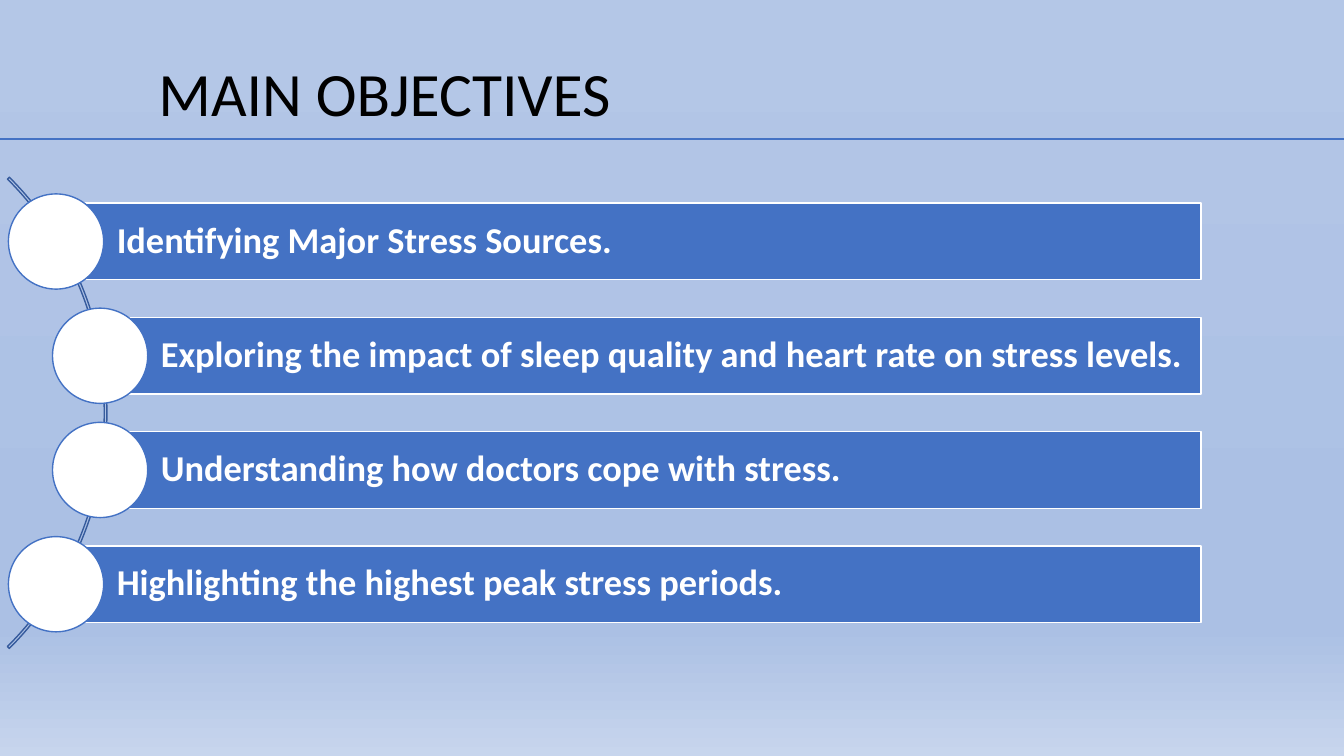
"""Build the main objectives slide."""
from dataclasses import dataclass

from lxml.etree import SubElement
from pptx import Presentation
from pptx.dml.color import RGBColor
from pptx.enum.shapes import MSO_CONNECTOR, MSO_SHAPE
from pptx.enum.text import MSO_ANCHOR, MSO_AUTO_SIZE, PP_ALIGN
from pptx.oxml.ns import qn
from pptx.util import Pt

SLIDE_WIDTH, SLIDE_HEIGHT = 960, 540
BAR_RIGHT, BAR_HEIGHT = 858, 54.7
CIRCLE_SIZE = 68
FIRST_CENTER, ROW_PITCH = 172.5, 81.6
ARC_SIZE, ARC_RIGHT = 476, 76.4
OUTER_LEFT, INNER_LEFT = 40, 71.5
OBJECTIVES = (
    ("Identifying Major Stress Sources.", OUTER_LEFT),
    ("Exploring the impact of sleep quality and heart rate on stress levels.", INNER_LEFT),
    ("Understanding how doctors cope with stress.", INNER_LEFT),
    ("Highlighting the highest peak stress periods.", OUTER_LEFT),
)


@dataclass(frozen=True)
class Theme:
    font: str = "Calibri"
    title_size: int = 44
    objective_size: int = 26
    text: str = "000000"
    accent: str = "4472C4"
    accent_dark: str = "365B9D"
    light: str = "FFFFFF"
    background: tuple = ((0, "B4C7E7"), (74, "ABC0E4"), (83, "ABC0E4"), (100, "C7D5ED"))


class SlideBuilder:
    def __init__(self, slide, theme):
        self.slide = slide
        self.theme = theme

    def background(self):
        fill = self.slide.background.fill
        fill.gradient()
        fill.gradient_angle = 270
        stops = self.slide.element.find(".//" + qn("a:gsLst"))
        for stop in list(stops):
            stops.remove(stop)
        for position, color in self.theme.background:
            stop = SubElement(stops, qn("a:gs"), pos=str(position * 1000))
            SubElement(stop, qn("a:srgbClr"), val=color)

    def set_text(self, shape, text, size, color, bold):
        frame = shape.text_frame
        frame.text = text
        frame.word_wrap = True
        frame.auto_size = MSO_AUTO_SIZE.NONE
        frame.vertical_anchor = MSO_ANCHOR.MIDDLE
        paragraph = frame.paragraphs[0]
        paragraph.alignment = PP_ALIGN.LEFT
        paragraph.line_spacing = 0.9
        font = paragraph.font
        font.name = self.theme.font
        font.size = Pt(size)
        font.bold = bold
        font.color.rgb = RGBColor.from_string(color)
        return frame

    def title(self, text, left, top, width, height):
        title = self.slide.shapes.title
        title.left, title.top, title.width, title.height = map(Pt, (left, top, width, height))
        self.set_text(title, text, self.theme.title_size, self.theme.text, False)

    def shape(self, kind, left, top, width, height, fill, line):
        shape = self.slide.shapes.add_shape(kind, *map(Pt, (left, top, width, height)))
        shape.shadow.inherit = False
        if fill:
            shape.fill.solid()
            shape.fill.fore_color.rgb = RGBColor.from_string(fill)
        else:
            shape.fill.background()
        shape.line.color.rgb = RGBColor.from_string(line)
        shape.line.width = Pt(1)
        return shape

    def arc(self, right, center, size):
        arc = self.shape(MSO_SHAPE.BLOCK_ARC, right - size, center - size / 2, size, size,
                         None, self.theme.accent_dark)
        for index, value in enumerate((189, 27, 0.004)):
            arc.adjustments[index] = value

    def objective(self, text, left, center):
        theme = self.theme
        bar = self.shape(MSO_SHAPE.RECTANGLE, left, center - BAR_HEIGHT / 2,
                         BAR_RIGHT - left, BAR_HEIGHT, theme.accent, theme.light)
        frame = self.set_text(bar, text, theme.objective_size, theme.light, True)
        frame.margin_left = Pt(43.4)
        frame.margin_right = frame.margin_top = frame.margin_bottom = Pt(5)
        self.shape(MSO_SHAPE.OVAL, left - CIRCLE_SIZE / 2, center - CIRCLE_SIZE / 2,
                   CIRCLE_SIZE, CIRCLE_SIZE, theme.light, theme.accent)

    def rule(self, top):
        rule = self.slide.shapes.add_connector(
            MSO_CONNECTOR.STRAIGHT, Pt(0), Pt(top), Pt(SLIDE_WIDTH), Pt(top))
        rule.line.color.rgb = RGBColor.from_string(self.theme.accent)
        rule.line.width = Pt(1.5)
        SubElement(rule.element.spPr, qn("a:effectLst"))


def main():
    presentation = Presentation()
    presentation.slide_width = Pt(SLIDE_WIDTH)
    presentation.slide_height = Pt(SLIDE_HEIGHT)
    slide = presentation.slides.add_slide(presentation.slide_layouts[5])
    builder = SlideBuilder(slide, Theme())
    builder.background()
    builder.title("MAIN OBJECTIVES", 106, 0, 789, 138)
    middle = FIRST_CENTER + ROW_PITCH * (len(OBJECTIVES) - 1) / 2
    builder.arc(ARC_RIGHT, middle, ARC_SIZE)
    for row, (text, left) in enumerate(OBJECTIVES):
        builder.objective(text, left, FIRST_CENTER + row * ROW_PITCH)
    builder.rule(99.5)
    presentation.save("out.pptx")


if __name__ == "__main__":
    main()
